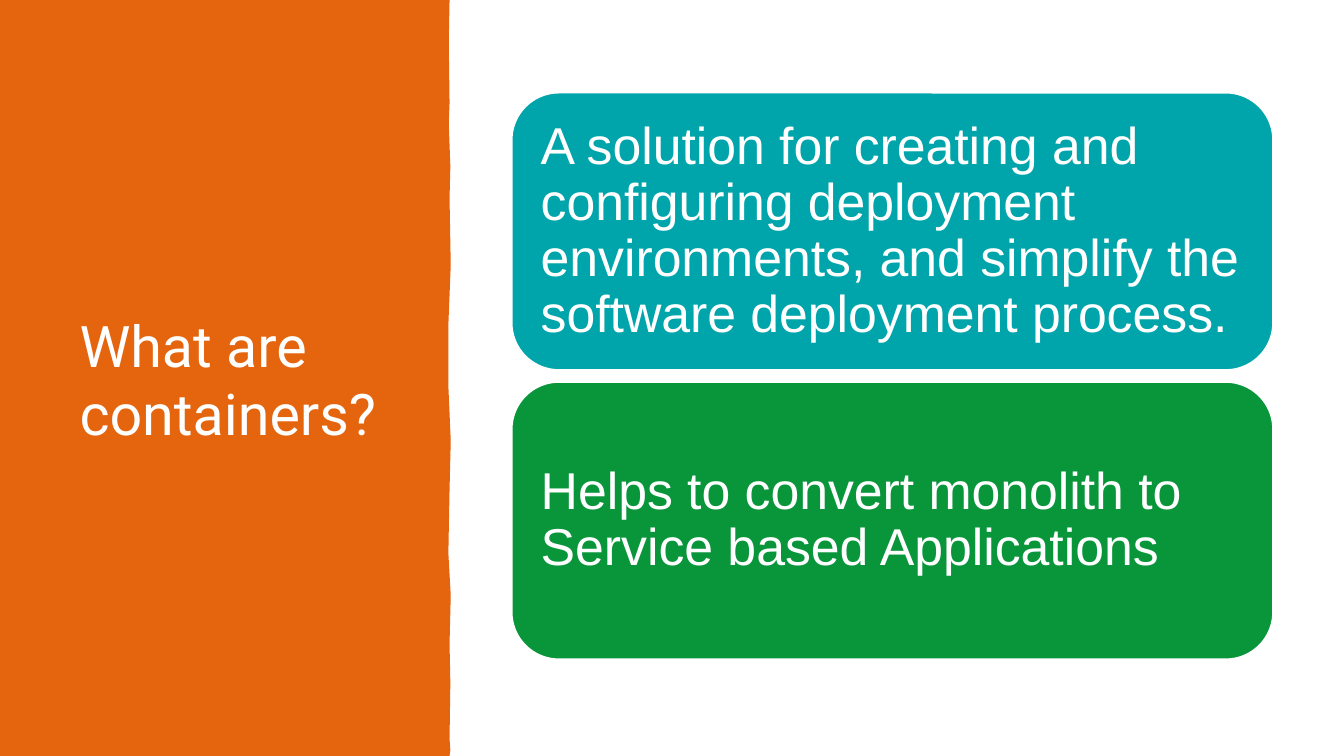
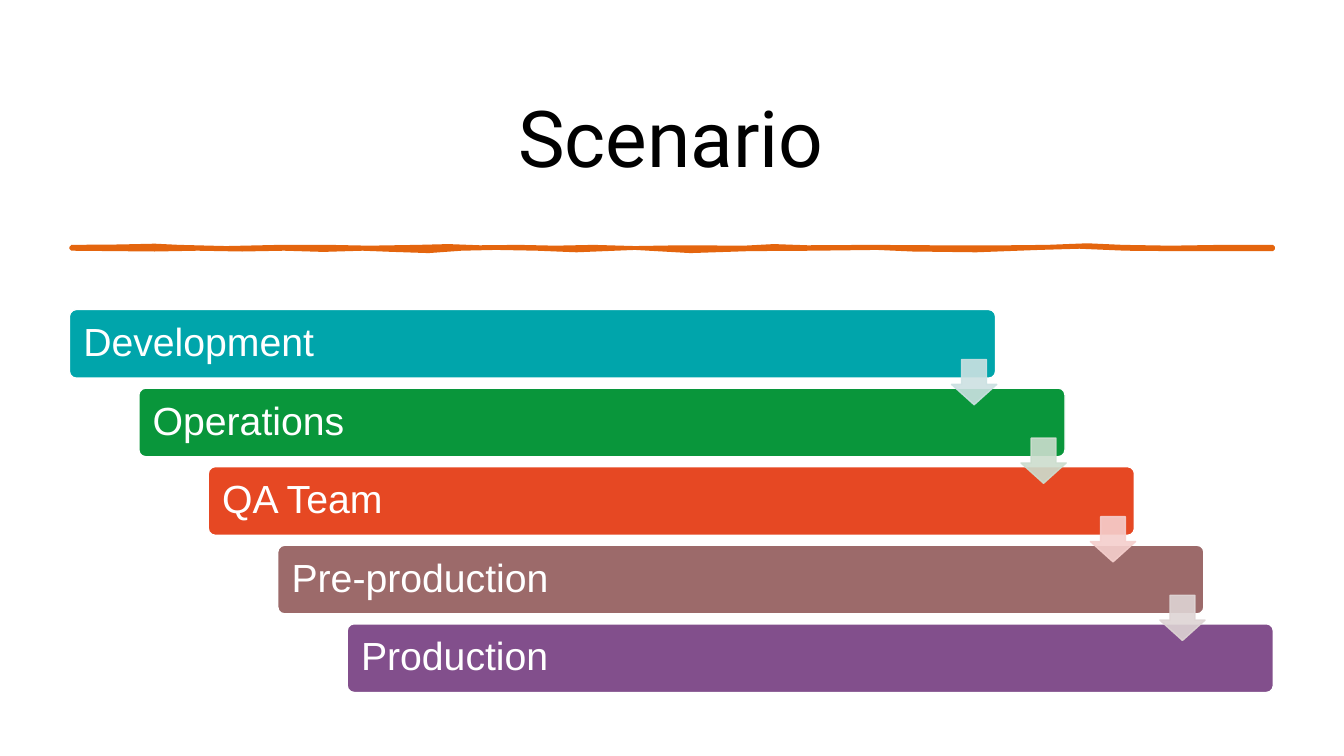
from lxml.etree import SubElement
from pptx import Presentation
from pptx.dml.color import RGBColor
from pptx.enum.shapes import MSO_SHAPE as Preset
from pptx.enum.text import MSO_ANCHOR as Anchor, MSO_AUTO_SIZE as AutoSize, PP_ALIGN as Align
from pptx.oxml.ns import qn
from pptx.util import Cm, Pt

WHITE = RGBColor(0xFF, 0xFF, 0xFF)
BLACK = RGBColor(0x00, 0x00, 0x00)
ORANGE = RGBColor(0xE4, 0x65, 0x0E)
TEAL = RGBColor(0x00, 0xA5, 0xAB)
GREEN = RGBColor(0x09, 0x96, 0x3B)
RED = RGBColor(0xE6, 0x48, 0x23)
MAUVE = RGBColor(0x9C, 0x6A, 0x6A)
PURPLE = RGBColor(0x82, 0x4F, 0x8C)
PALE_TEAL = RGBColor(0xCC, 0xE1, 0xE2)
PALE_GREEN = RGBColor(0xCC, 0xDD, 0xCE)
PALE_RED = RGBColor(0xF5, 0xCF, 0xCD)
PALE_MAUVE = RGBColor(0xDE, 0xD4, 0xD4)

TITLE_FONT = "Roboto"
BODY_FONT = "Arial"

# Hand-drawn outlines, in hundredths of a centimetre
BAND_OUTLINE = [
    (0, 0), (1133, 0), (1131, 107), (1133, 259), (1131, 310), (1135, 420),
    (1133, 500), (1136, 668), (1130, 818), (1130, 973), (1136, 1110),
    (1133, 1234), (1130, 1394), (1136, 1500), (1133, 1623), (1135, 1720),
    (1133, 1862), (1135, 1890), (1133, 1905), (0, 1905),
]
RULE_OUTLINE = [
    (180, 627), (390, 629), (498, 627), (610, 629), (716, 627), (815, 630),
    (914, 627), (990, 630), (1080, 633), (1163, 627), (1250, 625),
    (1354, 627), (1453, 631), (1600, 625), (1740, 633), (1890, 628),
    (2050, 627), (2210, 625), (2300, 629), (2460, 631), (2619, 625),
    (2720, 622), (2837, 627), (2950, 628), (3208, 628),
    (3208, 622), (3078, 622), (2950, 624), (2830, 622), (2740, 618),
    (2639, 622), (2543, 623), (2352, 623), (2195, 622), (2035, 623),
    (1950, 620), (1875, 624), (1717, 623), (1600, 625), (1496, 622),
    (1400, 624), (1308, 622), (1209, 623), (1130, 620), (1052, 622),
    (930, 624), (831, 622), (704, 622), (570, 625), (452, 622),
    (390, 619), (300, 621), (180, 622),
]


def style_shape(shape, fill, line):
    shape.shadow.inherit = False
    shape.fill.solid()
    shape.fill.fore_color.rgb = fill
    shape.line.color.rgb = line
    shape.line.width = Pt(1)


def add_panel(slide, box, text, fill, size, inset, corner):
    """Add a rounded rectangle with left-aligned white text; box is in cm."""
    panel = slide.shapes.add_shape(Preset.ROUNDED_RECTANGLE, *map(Cm, box))
    panel.adjustments[0] = corner
    style_shape(panel, fill, WHITE)
    frame = panel.text_frame
    frame.word_wrap = True
    frame.vertical_anchor = Anchor.MIDDLE
    frame.margin_left = frame.margin_right = Cm(inset)
    frame.margin_top = frame.margin_bottom = Cm(inset)
    paragraph = frame.paragraphs[0]
    paragraph.alignment = Align.LEFT
    paragraph.line_spacing = 0.9
    run = paragraph.add_run()
    run.text = text
    run.font.name = BODY_FONT
    run.font.size = Pt(size)
    run.font.color.rgb = WHITE


presentation = Presentation()
presentation.slide_width = Cm(33.87)
presentation.slide_height = Cm(19.05)
title_only = presentation.slide_layouts[5]

# Titles with their orange decoration
openings = [
    ("What are containers?", (1.75, 1.78, 8.61, 15.52), 41, WHITE, Align.LEFT, 1.0,
     BAND_OUTLINE, 0),
    ("Scenario", (1.75, 1.75, 30.33, 3.66), 56, BLACK, Align.CENTER, 0.9,
     RULE_OUTLINE, 2.75),
]
for text, box, size, color, alignment, spacing, outline, line_width in openings:
    slide = presentation.slides.add_slide(title_only)
    title = slide.shapes.title
    title.left, title.top, title.width, title.height = map(Cm, box)
    frame = title.text_frame
    frame.word_wrap = True
    frame.auto_size = AutoSize.NONE
    frame.vertical_anchor = Anchor.MIDDLE
    paragraph = frame.paragraphs[0]
    paragraph.alignment = alignment
    paragraph.line_spacing = spacing
    run = paragraph.add_run()
    run.text = text
    run.font.name = TITLE_FONT
    run.font.size = Pt(size)
    run.font.color.rgb = color

    builder = slide.shapes.build_freeform(*outline[0], scale=Cm(0.01))
    builder.add_line_segments(outline[1:], close=True)
    decoration = builder.convert_to_shape()
    style_shape(decoration, ORANGE, ORANGE)
    if line_width:
        decoration.line.width = Pt(line_width)
    else:
        decoration.line.fill.background()
    title.element.addprevious(decoration.element)

containers_slide, scenario_slide = presentation.slides

# What are containers?
cards = [
    ("A solution for creating and configuring deployment environments, "
     "and simplify the software deployment process.", TEAL),
    ("Helps to convert monolith to Service based Applications", GREEN),
]
for index, (text, color) in enumerate(cards):
    box = (12.9, 2.34 + index * 7.29, 19.18, 6.98)
    add_panel(containers_slide, box, text, color, size=37, inset=0.38, corner=0.17)

# Scenario: a staircase of stages, with an arrow from each to the next
STEP_X, STEP_Y = 1.75, 1.98
stages = [
    ("Development", TEAL),
    ("Operations", GREEN),
    ("QA Team", RED),
    ("Pre-production", MAUVE),
    ("Production", PURPLE),
]
for index, (text, color) in enumerate(stages):
    box = (1.75 + index * STEP_X, 7.8 + index * STEP_Y, 23.34, 1.73)
    add_panel(scenario_slide, box, text, color, size=28, inset=0.3, corner=0.1)

for index, color in enumerate([PALE_TEAL, PALE_GREEN, PALE_RED, PALE_MAUVE]):
    arrow = scenario_slide.shapes.add_shape(
        Preset.DOWN_ARROW,
        Cm(23.98 + index * STEP_X), Cm(9.06 + index * STEP_Y), Cm(1.14), Cm(1.14))
    arrow.adjustments[0] = 0.55
    arrow.adjustments[1] = 0.45
    style_shape(arrow, color, color)
    for color_element in arrow.element.spPr.findall(".//" + qn("a:srgbClr")):
        SubElement(color_element, qn("a:alpha"), val="90000")

presentation.save("out.pptx")
